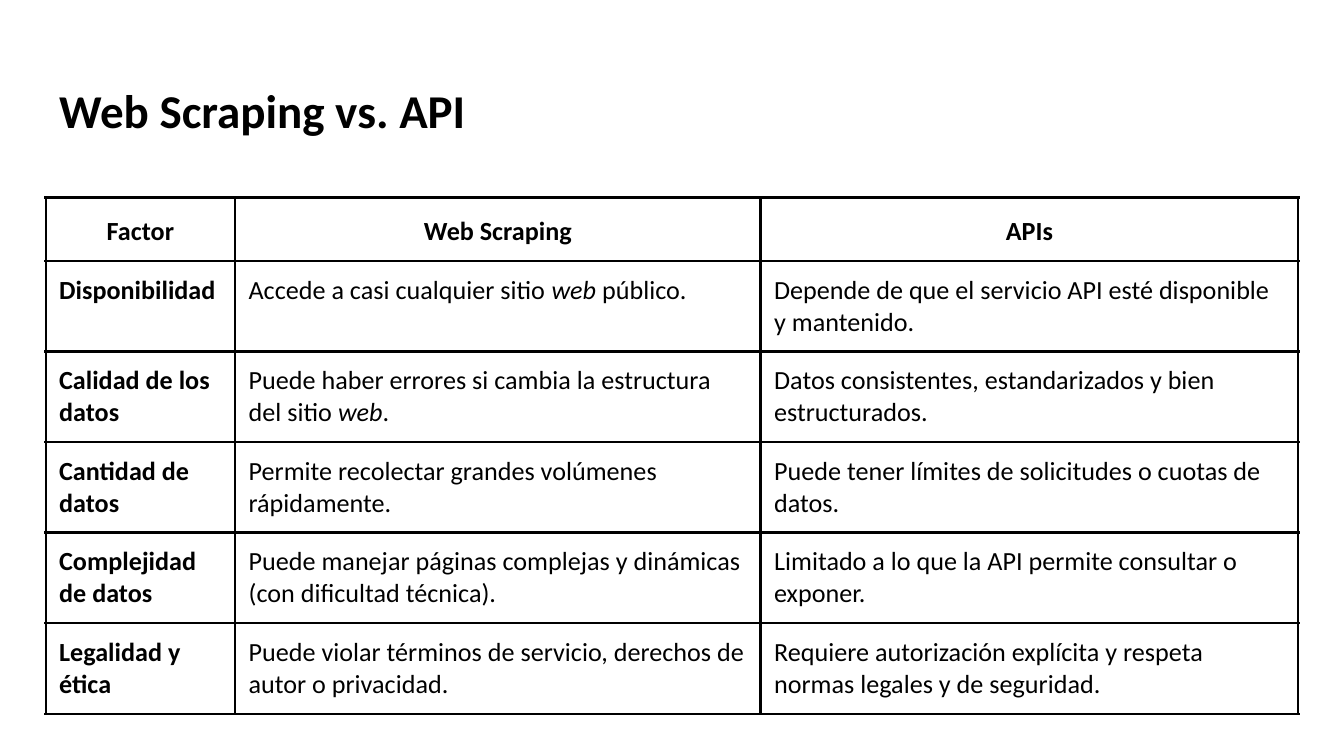
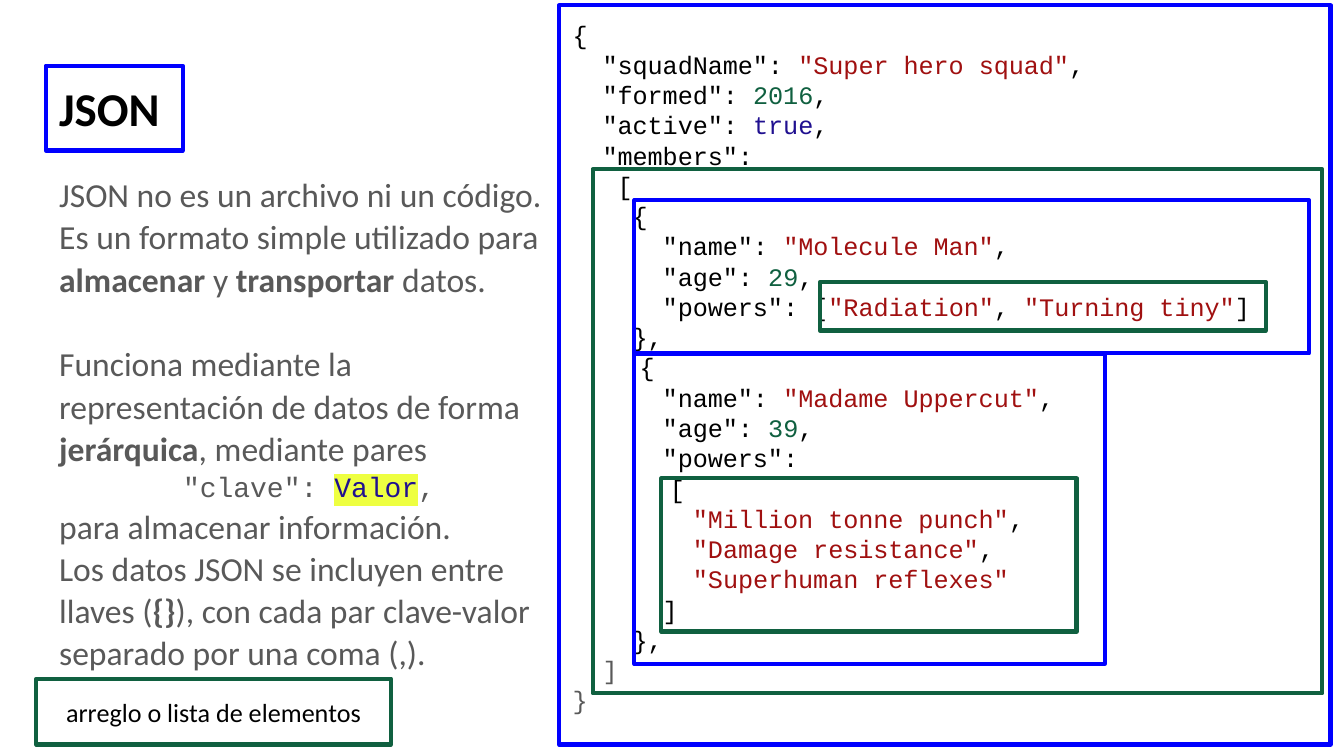
from lxml import etree
from pptx import Presentation
from pptx import util as u
from pptx.dml.color import RGBColor
from pptx.enum import shapes, text
from pptx.oxml.ns import qn

COLORS = {
    "black": "000000",
    "gray": "595959",
    "blue": "0000FF",
    "green": "106040",
    "red": "A01010",
    "indigo": "201090",
    "yellow": "EEFF41",
}
SANS, MONO = "Calibri", "Courier New"


def add_runs(p, runs, size, font, color="black", bold=False):
    for item in runs:
        content, style = (item, "") if isinstance(item, str) else item
        r = p.add_run()
        r.text = content
        r.font.size = u.Pt(size)
        r.font.name = font
        r.font.bold = bold or style == "bold"
        r.font.italic = style == "italic"
        r.font.color.rgb = RGBColor.from_string(COLORS.get(style, COLORS[color]))


def place(sp, left, top, width, height):
    sp.left, sp.top = u.Inches(left), u.Inches(top)
    sp.width, sp.height = u.Inches(width), u.Inches(height)
    tf = sp.text_frame
    tf.margin_left = tf.margin_right = u.Inches(0.1)
    tf.margin_top = tf.margin_bottom = u.Inches(0.1)
    tf.word_wrap = True
    tf.auto_size = text.MSO_AUTO_SIZE.NONE
    tf.vertical_anchor = text.MSO_ANCHOR.TOP
    return tf


prs = Presentation()
prs.slide_width = u.Inches(10)
prs.slide_height = prs.slide_width * 9 // 16

slides = []
for layout, title, top, width in [
    (5, "Web Scraping vs. API", 0.5, 9.32),
    (3, "JSON", 0.49, 1.57),
]:
    s = prs.slides.add_slide(prs.slide_layouts[layout])
    tf = place(s.shapes.title, 0.34, top, width, 0.63)
    tf.vertical_anchor = text.MSO_ANCHOR.MIDDLE
    p = tf.paragraphs[0]
    p.alignment = text.PP_ALIGN.LEFT
    add_runs(p, [title], 25.2, SANS, bold=True)
    slides.append(s)
comparison, json_slide = slides

rows = [
    (["Factor"], ["Web Scraping"], ["APIs"]),
    (
        ["Disponibilidad"],
        ["Accede a casi cualquier sitio ", ("web ", "italic"), "público."],
        ["Depende de que el servicio API esté disponible y mantenido."],
    ),
    (
        ["Calidad de los datos"],
        ["Puede haber errores si cambia la estructura del sitio ", ("web", "italic"), "."],
        ["Datos consistentes, estandarizados y bien estructurados."],
    ),
    (
        ["Cantidad de datos"],
        ["Permite recolectar grandes volúmenes rápidamente."],
        ["Puede tener límites de solicitudes o cuotas de datos."],
    ),
    (
        ["Complejidad de datos"],
        ["Puede manejar páginas complejas y dinámicas (con dificultad técnica)."],
        ["Limitado a lo que la API permite consultar o exponer."],
    ),
    (
        ["Legalidad y ética"],
        ["Puede violar términos de servicio, derechos de autor o privacidad."],
        ["Requiere autorización explícita y respeta normas legales y de seguridad."],
    ),
]
table = comparison.shapes.add_table(
    len(rows), 3, u.Inches(0.34), u.Inches(1.47), u.Inches(9.32), u.Inches(3.8)
).table
table.first_row = table.horz_banding = False
for column, width in zip(table.columns, (1.41, 3.91, 4)):
    column.width = u.Inches(width)
for i, row in enumerate(rows):
    table.rows[i].height = u.Inches(0.66 if i else 0.47)
    for j, runs in enumerate(row):
        cell = table.cell(i, j)
        cell.margin_left = cell.margin_right = u.Inches(0.1)
        cell.margin_top = cell.margin_bottom = u.Inches(0.1)
        tcPr = cell._tc.get_or_add_tcPr()
        for side in ("lnL", "lnR", "lnT", "lnB"):
            ln = etree.SubElement(tcPr, qn(f"a:{side}"), w=str(u.Pt(1.5)))
            fill = etree.SubElement(ln, qn("a:solidFill"))
            etree.SubElement(fill, qn("a:srgbClr"), val=COLORS["black"])
        cell.fill.background()
        p = cell.text_frame.paragraphs[0]
        if i == 0:
            p.alignment = text.PP_ALIGN.CENTER
            p.line_spacing = 1.15
        add_runs(p, runs, 14, SANS, bold=i == 0 or j == 0)

explanation, code = json_slide.placeholders[1], json_slide.placeholders[2]

code_lines = [
    ["{"],
    ['  "squadName": ', ('"Super hero squad"', "red"), ","],
    ['  "formed": ', ("2016", "green"), ","],
    ['  "active": ', ("true", "indigo"), ","],
    ['  "members":'],
    ["   ["],
    ["    {"],
    ['      "name": ', ('"Molecule Man"', "red"), ","],
    ['      "age": ', ("29", "green"), ","],
    ['      "powers": [', ('"Radiation"', "red"), ", ", ('"Turning tiny"', "red"), "]"],
    ["    },"],
    ["{"],
    ['      "name": ', ('"Madame Uppercut"', "red"), ","],
    ['      "age": ', ("39", "green"), ","],
    ['      "powers":'],
    ["  ["],
    ["        ", ('"Million tonne punch"', "red"), ","],
    ["        ", ('"Damage resistance"', "red"), ","],
    ["        ", ('"Superhuman reflexes"', "red")],
    ["      ]"],
    ["    },"],
    [("  ]", "gray")],
    [("}", "gray")],
]
explanation_lines = [
    ["JSON no es un archivo ni un código."],
    [
        "Es un formato simple utilizado para ",
        ("almacenar ", "bold"),
        "y ",
        ("transportar ", "bold"),
        "datos.",
    ],
    [
        "Funciona mediante la representación de datos de forma ",
        ("jerárquica", "bold"),
        ", mediante pares",
    ],
    ['"clave": ', ("Valor", "indigo"), ","],
    ["para almacenar información."],
    [
        "Los datos JSON se incluyen entre llaves (",
        ("{}", "bold"),
        "), con cada par clave-valor separado por una coma (,).",
    ],
]
code_indents = {11: (0, 0.5), 15: (0.5, 0)}
sample_line = 3

for sp, box, lines, size, font, color, spacing, indents in [
    (code, (4.16, 0.04, 5.74, 5.5), code_lines, 13.5, MONO, "black", u.Pt(16.2), code_indents),
    (explanation, (0.34, 1.18, 3.92, 4.12), explanation_lines, 18, SANS, "gray", 1.05, {}),
]:
    tf = place(sp, *box)
    for i, runs in enumerate(lines):
        p = tf.paragraphs[0] if i == 0 else tf.add_paragraph()
        margin, indent = indents.get(i, (0, 0))
        pPr = p._p.get_or_add_pPr()
        pPr.set("marL", str(u.Inches(margin)))
        pPr.set("indent", str(u.Inches(indent)))
        etree.SubElement(pPr, qn("a:buNone"))
        p.line_spacing = spacing
        p.space_before = u.Pt(0)
        if sp is explanation and i == sample_line:
            p.alignment = text.PP_ALIGN.CENTER
            add_runs(p, runs, 15, MONO, color)
        else:
            add_runs(p, runs, size, font, color)

code.line.color.rgb = RGBColor.from_string(COLORS["blue"])
code.line.width = u.Pt(2.25)

paragraphs = explanation.text_frame.paragraphs
paragraphs[2].space_before = u.Pt(22.6)
value_rPr = paragraphs[sample_line].runs[1]._r.get_or_add_rPr()
highlight = etree.Element(qn("a:highlight"))
etree.SubElement(highlight, qn("a:srgbClr"), val=COLORS["yellow"])
value_rPr.find(qn("a:solidFill")).addnext(highlight)

for left, top, width, height, color, label in [
    (4.41, 1.26, 5.43, 3.9, "green", ""),
    (4.72, 2.63, 3.5, 2.31, "blue", ""),
    (4.72, 1.49, 5.02, 1.14, "blue", ""),
    (6.1, 2.1, 3.32, 0.36, "green", ""),
    (4.92, 3.56, 3.09, 1.14, "green", ""),
    (0.34, 0.49, 1.02, 0.63, "blue", ""),
    (0.27, 5.05, 2.64, 0.49, "green", "arreglo o lista de elementos"),
]:
    frame = json_slide.shapes.add_shape(shapes.MSO_SHAPE.RECTANGLE, 0, 0, 0, 0)
    tf = place(frame, left, top, width, height)
    frame.shadow.inherit = False
    frame.fill.background()
    frame.line.color.rgb = RGBColor.from_string(COLORS[color])
    frame.line.width = u.Pt(2.25)
    if label:
        tf.vertical_anchor = text.MSO_ANCHOR.MIDDLE
        p = tf.paragraphs[0]
        p.alignment = text.PP_ALIGN.CENTER
        add_runs(p, [label], 14, SANS)

prs.save("out.pptx")
